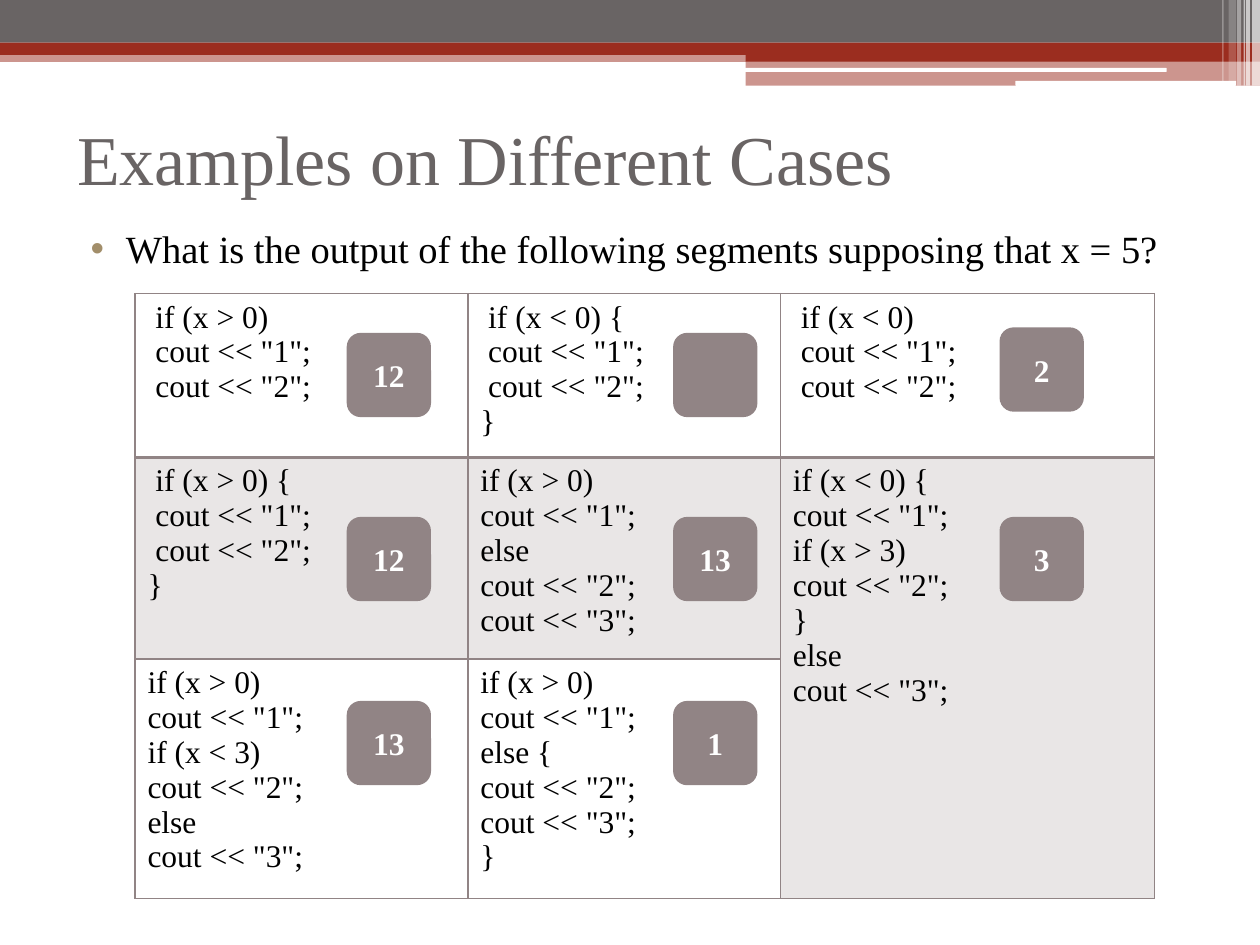
from lxml import etree
from pptx import Presentation
from pptx.dml.color import RGBColor
from pptx.enum import shapes, text
from pptx.oxml.ns import qn
from pptx.util import Cm, Pt

FONT = "Times New Roman"
GREY, RED, MAUVE, WHITE, BLACK = "696464", "9B2D1F", "918485", "FFFFFF", "000000"
RECT = shapes.MSO_SHAPE.RECTANGLE
ROUND = shapes.MSO_SHAPE.ROUNDED_RECTANGLE

# Content: lengths in cm
TITLE = "Examples on Different Cases"
QUESTION = "What is the output of the following segments supposing that x = 5?"

# Header bands: shape, left, top, width, height, colour, opacity %
BANDS = [
    (RECT, 0, 1.02, 25.4, 0.23, RED, 50),
    (RECT, 0, 0, 25.4, 0.86, GREY, 100),
    (RECT, 0, 0.86, 25.4, 0.25, RED, 100),
    (RECT, 15.03, 0.99, 10.37, 0.25, RED, 100),
    (RECT, 15.03, 1.23, 10.37, 0.5, RED, 50),
    (ROUND, 15.01, 1.37, 8.51, 0.08, WHITE, 100),
    (ROUND, 20.47, 1.63, 4.45, 0.1, WHITE, 100),
]
# Light stripes at the right end: left, width, height, opacity %
STRIPES = [
    (25.24, 0.16, 1.73, 65), (25.12, 0.08, 1.73, 65), (25.07, 0.03, 1.73, 60),
    (24.94, 0.08, 1.73, 40), (24.77, 0.15, 1.63, 20), (24.64, 0.03, 1.63, 30),
]

# Code segments: each cell is a list of paragraphs, None is merged away
SEGMENTS = [
    [[' if (x > 0)\n cout << "1";\n cout << "2";'],
     [' if (x < 0) {\n cout << "1";\n cout << "2";', '}'],
     [' if (x < 0)\n cout << "1";\n cout << "2";']],
    [[' if (x > 0) {\n cout << "1";\n cout << "2";', '}'],
     ['if (x > 0)\ncout << "1";\nelse\ncout << "2";\ncout << "3";'],
     ['if (x < 0) {\ncout << "1";\nif (x > 3)\ncout << "2";\n}\nelse\ncout << "3";']],
    [['if (x > 0)\ncout << "1";\nif (x < 3)\ncout << "2";\nelse\ncout << "3";'],
     ['if (x > 0)\ncout << "1";\nelse {\ncout << "2";\ncout << "3";\n}'],
     None],
]
COLUMNS = [6.71, 6.3, 7.54]
ROWS = [3.07, 3.76, 4.48]
ANSWERS = [["12", "", "2"], ["12", "13", "3"], ["13", "1", None]]
BADGE_SIZE, BADGE_LEFT, BADGE_TOP = 1.7, 6.99, 6.71
BADGE_STEP_X, BADGE_STEP_Y = 6.58, 3.71
NUDGES = {(0, 2): -0.11}  # vertical shift of a badge by (row, column)


def color(code):
    return RGBColor.from_string(code)


def paint(fill, holder, code, opacity=100):
    fill.solid()
    fill.fore_color.rgb = color(code)
    if opacity < 100:
        tint = holder.find(qn("a:solidFill"))[0]
        etree.SubElement(tint, qn("a:alpha")).set("val", str(opacity * 1000))


def add_text(para, words, size, code, bold=False):
    for i, line in enumerate(words.split("\n")):
        if i:
            para.add_line_break()
        span = para.add_run()
        span.text = line
        span.font.name = FONT
        span.font.size = Pt(size)
        span.font.bold = bold
        span.font.color.rgb = color(code)


def add_block(page, kind, left, top, width, height, code, opacity=100):
    block = page.shapes.add_shape(kind, Cm(left), Cm(top), Cm(width), Cm(height))
    block.shadow.inherit = False
    block.line.fill.background()
    paint(block.fill, block.element.spPr, code, opacity)
    return block


def add_borders(cell, bottom):
    props = cell._tc.get_or_add_tcPr()
    for side, width in (("L", 1), ("R", 1), ("T", 1), ("B", bottom)):
        line = etree.SubElement(props, qn("a:ln" + side), w=str(Pt(width)))
        solid = etree.SubElement(line, qn("a:solidFill"))
        etree.SubElement(solid, qn("a:srgbClr"), val=MAUVE)


def add_header(page):
    for band in BANDS:
        add_block(page, *band)
    for left, width, height, opacity in STRIPES:
        add_block(page, RECT, left, 0, width, height, WHITE, opacity)


def add_title(page):
    title = page.shapes.title
    title.left, title.top, title.width, title.height = Cm(1.3), Cm(1.7), Cm(22.86), Cm(2.97)
    title.text_frame.vertical_anchor = text.MSO_ANCHOR.MIDDLE
    para = title.text_frame.paragraphs[0]
    para.alignment = text.PP_ALIGN.LEFT
    add_text(para, TITLE, 40, GREY)


def add_question(page):
    box = page.shapes.add_textbox(Cm(1.27), Cm(4.6), Cm(22.86), Cm(1.2))
    box.text_frame.word_wrap = True
    para = box.text_frame.paragraphs[0]
    para.alignment = text.PP_ALIGN.JUSTIFY
    para.line_spacing = 0.8
    props = para._p.get_or_add_pPr()
    props.set("marL", str(Cm(1.02)))
    props.set("indent", str(Cm(-0.71)))
    bullet_color = etree.SubElement(props, qn("a:buClr"))
    etree.SubElement(bullet_color, qn("a:srgbClr"), val="A28E6A")
    etree.SubElement(props, qn("a:buFont"), typeface="Arial")
    etree.SubElement(props, qn("a:buChar"), char="•")
    add_text(para, QUESTION, 22, BLACK)


def add_segments(page):
    table = page.shapes.add_table(len(ROWS), len(COLUMNS), Cm(2.72), Cm(5.92),
                                  Cm(sum(COLUMNS)), Cm(sum(ROWS))).table
    table.first_row = table.horz_banding = False
    for column, width in zip(table.columns, COLUMNS):
        column.width = Cm(width)
    for row, height in zip(table.rows, ROWS):
        row.height = Cm(height)
    table.cell(1, 2).merge(table.cell(2, 2))
    for r, row in enumerate(SEGMENTS):
        for c, paragraphs in enumerate(row):
            cell = table.cell(r, c)
            add_borders(cell, 2 if r == 0 else 1)
            if r == 1 or paragraphs is None:
                paint(cell.fill, cell._tc.tcPr, MAUVE, 20)
            else:
                cell.fill.background()
            for i, words in enumerate(paragraphs or []):
                frame = cell.text_frame
                para = frame.add_paragraph() if i else frame.paragraphs[0]
                add_text(para, words, 18, BLACK)


def add_answers(page):
    for r, row in enumerate(ANSWERS):
        for c, answer in enumerate(row):
            if answer is None:
                continue
            top = BADGE_TOP + r * BADGE_STEP_Y + NUDGES.get((r, c), 0)
            badge = add_block(page, ROUND, BADGE_LEFT + c * BADGE_STEP_X, top,
                              BADGE_SIZE, BADGE_SIZE, MAUVE)
            if answer:
                badge.text_frame.vertical_anchor = text.MSO_ANCHOR.MIDDLE
                para = badge.text_frame.paragraphs[0]
                para.alignment = text.PP_ALIGN.CENTER
                add_text(para, answer, 18, WHITE, bold=True)


def main():
    deck = Presentation()
    deck.slide_width, deck.slide_height = Cm(25.4), Cm(19.05)
    page = deck.slides.add_slide(deck.slide_layouts[5])
    add_header(page)
    add_title(page)
    add_question(page)
    add_segments(page)
    add_answers(page)
    deck.save("out.pptx")


if __name__ == "__main__":
    main()
